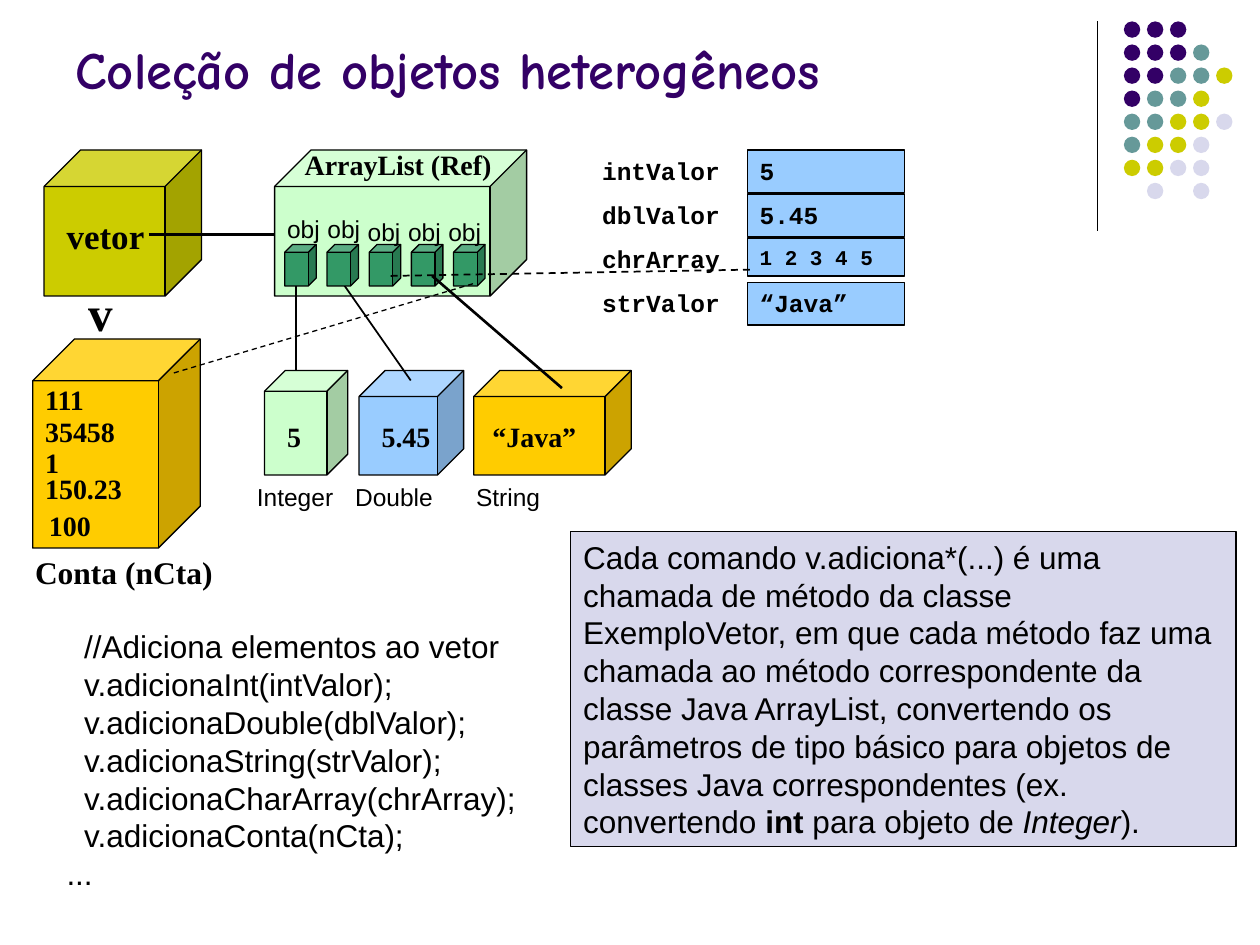
import pptx
import pptx.util
import pptx.dml.color
import pptx.enum.dml
import pptx.enum.shapes
import pptx.enum.text
import pptx.oxml.ns
import lxml.etree

RGBColor = pptx.dml.color.RGBColor
BLACK = RGBColor(0x00, 0x00, 0x00)
PURPLE = RGBColor(0x33, 0x00, 0x66)
TEAL = RGBColor(0x66, 0x99, 0x99)
OLIVE = RGBColor(0xCC, 0xCC, 0x00)
LAVENDER = RGBColor(0xD8, 0xD8, 0xEC)
MINT = RGBColor(0xCC, 0xFF, 0xCC)
SKY = RGBColor(0x99, 0xCC, 0xFF)
GOLD = RGBColor(0xFF, 0xCC, 0x00)
GREEN = RGBColor(0x33, 0x99, 0x66)

SLIDE_WIDTH = pptx.util.Inches(10)
SLIDE_HEIGHT = pptx.util.Inches(7.5)
COLUMNS, ROWS = 1000, 750

PRESET = pptx.enum.shapes.MSO_SHAPE
ANCHOR = pptx.enum.text.MSO_ANCHOR
DASH = pptx.enum.dml.MSO_LINE.DASH

TITLE = {"name": "Comic Neue", "size": 30, "bold": True, "color": PURPLE}
BODY = {"name": "Arial", "size": 18}
CAPTION = {"name": "Arial", "size": 14}
CODE = {"name": "Courier New", "size": 14, "bold": True}
SMALL_CODE = {**CODE, "size": 12}
VALUE = {"name": "Times New Roman", "size": 16, "bold": True}
ACCOUNT = {**VALUE, "size": 18}
VECTOR = {**VALUE, "size": 20}
VARIABLE = {**VALUE, "size": 28}

DOT_COLORS = {"P": PURPLE, "T": TEAL, "Y": OLIVE, "L": LAVENDER}
DOT_ROWS = ["PPP", "PPPT", "PPTTY", "PTTY", "TTYYL", "TYYL", "YYLL", ".L.L"]

CODE_LINES = [
    "//Adiciona elementos ao vetor",
    "v.adicionaInt(intValor);",
    "v.adicionaDouble(dblValor);",
    "v.adicionaString(strValor);",
    "v.adicionaCharArray(chrArray);",
    "v.adicionaConta(nCta);",
    "...",
]
NOTE_RUNS = [
    ("Cada comando v.adiciona*(...) é uma chamada de método da classe "
     "ExemploVetor, em que cada método faz uma chamada ao método "
     "correspondente da classe Java ArrayList, convertendo os parâmetros de "
     "tipo básico para objetos de classes Java correspondentes (ex. "
     "convertendo ", BODY),
    ("int", {**BODY, "bold": True}),
    (" para objeto de ", BODY),
    ("Integer", {**BODY, "italic": True}),
    (").", BODY),
]
VARIABLES = [
    ("intValor", "5", 34, CODE),
    ("dblValor", "5.45", 34, CODE),
    ("chrArray", "1 2 3 4 5", 30, SMALL_CODE),
    ("strValor", "“Java”", 34, CODE),
]
ACCOUNT_FIELDS = [("111", 26, 299, 55), ("35458", 26, 324, 78),
                  ("1", 26, 349, 33), ("150.23", 26, 369, 84),
                  ("100", 29, 399, 55)]


def across(columns):
    """Return the length of a number of grid columns."""
    return int(SLIDE_WIDTH * columns / COLUMNS)


def down(rows):
    """Return the length of a number of grid rows."""
    return int(SLIDE_HEIGHT * rows / ROWS)


def place(box):
    """Turn a grid box (left, top, width, height) into slide lengths."""
    left, top, width, height = box
    return across(left), down(top), across(width), down(height)


def write_runs(paragraph, runs):
    """Add (text, format) runs to a left-aligned paragraph."""
    paragraph.alignment = pptx.enum.text.PP_ALIGN.LEFT
    for text, style in runs:
        run = paragraph.add_run()
        run.text = text
        values = {"color": BLACK, **style}
        run.font.color.rgb = values.pop("color")
        values["size"] = pptx.util.Pt(values["size"])
        for attribute, value in values.items():
            setattr(run.font, attribute, value)


def set_frame(frame, wrap=True, grow=True, anchor=ANCHOR.TOP):
    """Set wrapping, growth and anchor of a text frame."""
    sizes = pptx.enum.text.MSO_AUTO_SIZE
    settings = {
        "word_wrap": wrap,
        "auto_size": sizes.SHAPE_TO_FIT_TEXT if grow else sizes.NONE,
        "vertical_anchor": anchor,
    }
    for attribute, value in settings.items():
        setattr(frame, attribute, value)


def add_text(shapes, box, text, style, **frame_settings):
    """Add a text box holding one run."""
    frame = shapes.add_textbox(*place(box)).text_frame
    set_frame(frame, **frame_settings)
    write_runs(frame.paragraphs[0], [(text, style)])


def add_solid(shapes, preset, box, fill, outlined=True):
    """Add a filled preset shape, outlined in black or not at all."""
    shape = shapes.add_shape(preset, *place(box))
    shape.shadow.inherit = False
    shape.fill.solid()
    shape.fill.fore_color.rgb = fill
    if outlined:
        shape.line.color.rgb = BLACK
        shape.line.width = pptx.util.Pt(0.74)
    else:
        shape.line.fill.background()
    return shape


def add_panel(shapes, box, fill, runs):
    """Add an outlined rectangle with text."""
    frame = add_solid(shapes, PRESET.RECTANGLE, box, fill).text_frame
    set_frame(frame)
    write_runs(frame.paragraphs[0], runs)


def add_line(shapes, start, end, width=0.99, dash=None, arrow=False):
    """Add a straight black connector between two grid points."""
    connector = shapes.add_connector(
        pptx.enum.shapes.MSO_CONNECTOR.STRAIGHT,
        across(start[0]), down(start[1]), across(end[0]), down(end[1]))
    connector.line.color.rgb = BLACK
    connector.line.width = pptx.util.Pt(width)
    if dash:
        connector.line.dash_style = dash
    qualify = pptx.oxml.ns.qn
    properties = connector._element.spPr
    if arrow:
        outline = properties.find(qualify("a:ln"))
        lxml.etree.SubElement(outline, qualify("a:tailEnd"), type="triangle")
    lxml.etree.SubElement(properties, qualify("a:effectLst"))


def add_dots(shapes):
    """Draw the corner rule and its coloured dots."""
    add_line(shapes, (871, 17), (871, 183), 0.74)
    dots = shapes.add_group_shape().shapes
    for row, codes in enumerate(DOT_ROWS):
        for column, code in enumerate(codes):
            if code in DOT_COLORS:
                box = (892 + 18.3 * column, 17 + 18.3 * row, 13, 13)
                add_solid(dots, PRESET.OVAL, box, DOT_COLORS[code], False)


def add_code(shapes):
    """Write the code listing, indented except for its last line."""
    frame = shapes.add_textbox(*place((43, 493, 386, 220))).text_frame
    set_frame(frame)
    for index, text in enumerate(CODE_LINES):
        paragraph = frame.add_paragraph() if index else frame.paragraphs[0]
        write_runs(paragraph, [(text, BODY)])
        if text != CODE_LINES[-1]:
            paragraph._p.get_or_add_pPr().set("marL", str(across(14)))


def add_diagram(shapes):
    """Draw the vector, its list, the variables and the objects."""
    cube = PRESET.CUBE
    add_solid(shapes, cube, (35, 119, 125, 116), OLIVE)
    add_text(shapes, (60, 219, 39, 57), "v", VARIABLE, wrap=False)
    add_line(shapes, (118, 186), (226, 186), 1.5, arrow=True)
    add_solid(shapes, cube, (218, 119, 200, 116), MINT)
    add_text(shapes, (232, 112, 176, 37), "ArrayList (Ref)", VALUE)
    for row, (name, value, height, style) in enumerate(VARIABLES):
        top = 119 + 35 * row
        add_text(shapes, (468, top, 132, 34), name, CODE)
        add_panel(shapes, (593, top, 125, height), SKY, [(value, style)])

    add_solid(shapes, cube, (26, 269, 133, 166), GOLD)
    add_text(shapes, (18, 434, 163, 40), "Conta (nCta)", ACCOUNT, wrap=False)
    add_text(shapes, (43, 165, 84, 44), "vetor", VECTOR, wrap=False)
    for text, left, top, width in ACCOUNT_FIELDS:
        add_text(shapes, (left, top, width, 37), text, VALUE, wrap=False)

    add_line(shapes, (235, 219), (235, 311))
    add_solid(shapes, cube, (210, 294, 66, 83), MINT)
    add_text(shapes, (218, 328, 33, 37), "5", VALUE, wrap=False)
    add_solid(shapes, cube, (285, 294, 83, 83), SKY)
    add_text(shapes, (293, 328, 61, 37), "5.45", VALUE, wrap=False)
    add_line(shapes, (268, 219), (326, 302))
    for index in range(5):
        add_solid(shapes, cube, (226 + 33.5 * index, 194, 25, 33), GREEN)
    add_line(shapes, (310, 219), (596, 214), dash=DASH)
    add_solid(shapes, cube, (376, 294, 125, 83), GOLD)
    add_text(shapes, (381, 328, 92, 37), "“Java”", VALUE, wrap=False)
    add_line(shapes, (343, 219), (446, 308), 1.5)
    for index in range(5):
        box = (218 + 32 * index, 165 if index < 2 else 167, 48, 34)
        add_text(shapes, box, "obj", CAPTION, wrap=False)
    for text, left, width in [("Integer", 194, 84), ("Double", 272, 84),
                              ("String", 368, 74)]:
        add_text(shapes, (left, 378, width, 34), text, CAPTION, wrap=False)
    add_line(shapes, (138, 296), (376, 225), 0.74, DASH)


def main():
    """Build the slide and save it."""
    presentation = pptx.Presentation()
    presentation.slide_width = SLIDE_WIDTH
    presentation.slide_height = SLIDE_HEIGHT
    slide = presentation.slides.add_slide(presentation.slide_layouts[6])
    add_dots(slide.shapes)
    add_text(slide.shapes, (50, 8, 825, 76), "Coleção de objetos heterogêneos",
             TITLE, grow=False, anchor=ANCHOR.BOTTOM)
    add_code(slide.shapes)
    add_panel(slide.shapes, (453, 422, 528, 250), LAVENDER, NOTE_RUNS)
    add_diagram(slide.shapes.add_group_shape().shapes)
    presentation.save("out.pptx")


main()
